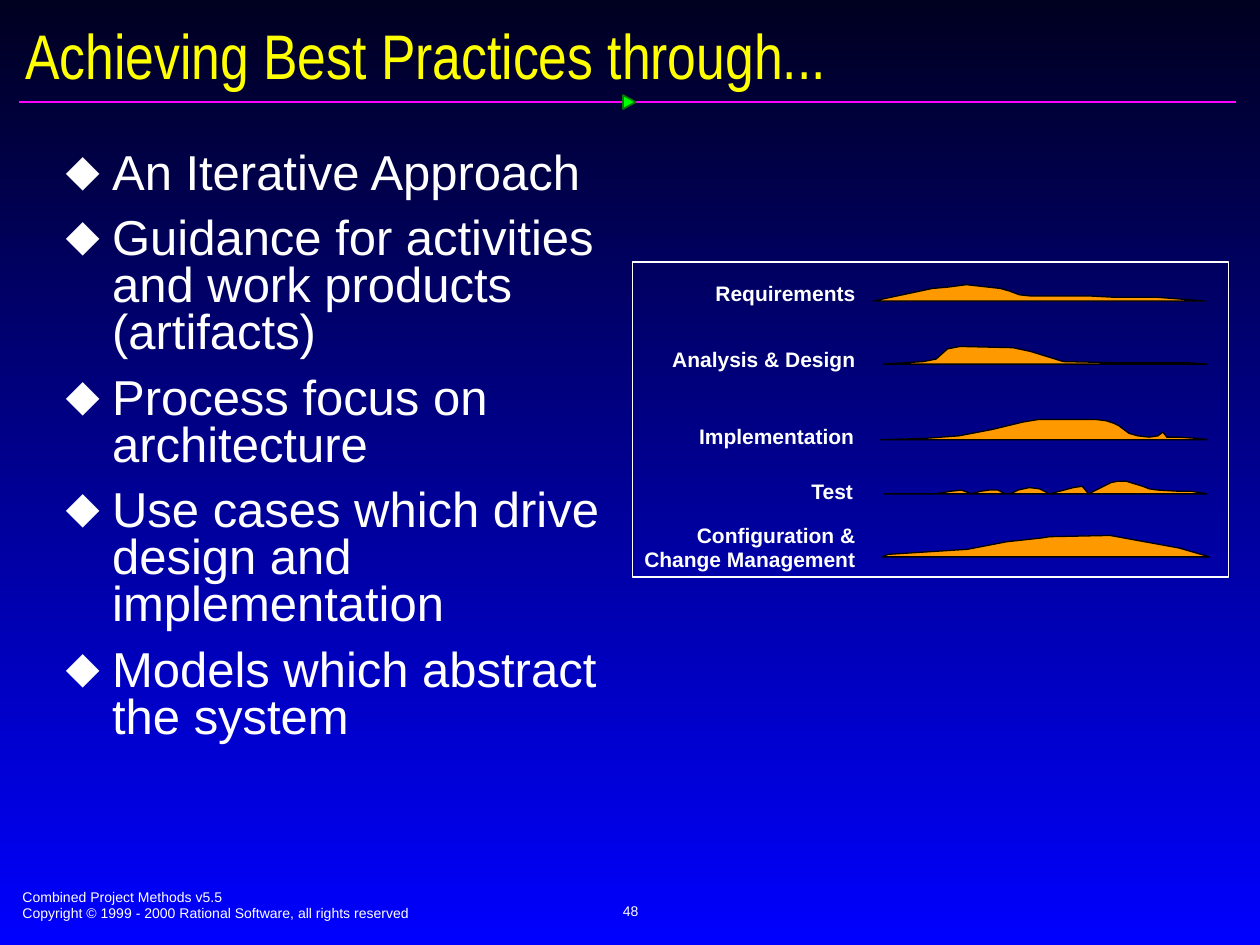
import pptx
import pptx.dml.color
import pptx.enum.shapes
import pptx.enum.text
import pptx.oxml.ns
import pptx.util
from lxml import etree
from pptx.util import Inches

COLORS = {
    "night": "000021", "blue": "0000FF", "white": "FFFFFF", "title": "FFFF00",
    "rule": "FF01FF", "marker": "00FF00", "marker_edge": "037C03",
    "effort": "FF9900", "black": "000000",
}
RGB = {name: pptx.dml.color.RGBColor.from_string(value) for name, value in COLORS.items()}
ALIGN = pptx.enum.text.PP_ALIGN
ANCHOR = pptx.enum.text.MSO_ANCHOR
SHAPE = pptx.enum.shapes.MSO_SHAPE


def place(shape, left, top, width, height):
    shape.left, shape.top = Inches(left), Inches(top)
    shape.width, shape.height = Inches(width), Inches(height)


def write(shape, lines, size, color="white", font="Arial", bold=False,
          align=ALIGN.LEFT, anchor=ANCHOR.TOP, margins=(0.1, 0.05), wrap=True):
    frame = shape.text_frame
    frame.text = "\n".join(lines)
    frame.auto_size = pptx.enum.text.MSO_AUTO_SIZE.NONE
    frame.word_wrap = wrap
    frame.vertical_anchor = anchor
    frame.margin_left = frame.margin_right = Inches(margins[0])
    frame.margin_top = frame.margin_bottom = Inches(margins[1])
    for paragraph in frame.paragraphs:
        paragraph.alignment = align
        for run in paragraph.runs:
            run.font.size = pptx.util.Pt(size)
            run.font.name = font
            run.font.bold = bold
            run.font.color.rgb = RGB[color]
    return frame.paragraphs


presentation = pptx.Presentation()
presentation.slide_width, presentation.slide_height = Inches(10), Inches(7.5)
slide = presentation.slides.add_slide(presentation.slide_layouts[1])
shapes = slide.shapes

# Background
background = slide.background.fill
background.gradient()
background.gradient_angle = 270
for stop, name in zip(background.gradient_stops, ("night", "blue")):
    stop.color.rgb = RGB[name]

# Title with its rule and marker
place(shapes.title, 0.1, 0.14, 9.84, 0.58)
write(shapes.title, ["Achieving Best Practices through..."], 36, "title",
      "Arial Narrow", anchor=ANCHOR.MIDDLE)

rule = shapes.add_connector(pptx.enum.shapes.MSO_CONNECTOR.STRAIGHT,
                            Inches(0.15), Inches(0.81), Inches(9.81), Inches(0.81))
rule.line.color.rgb = RGB["rule"]
rule.line.width = pptx.util.Pt(1)
etree.SubElement(rule._element.spPr, pptx.oxml.ns.qn("a:effectLst"))

marker = shapes.add_shape(SHAPE.ISOSCELES_TRIANGLE, Inches(4.94), Inches(0.76),
                          Inches(0.11), Inches(0.1))
marker.rotation = 90
marker.shadow.inherit = False
marker.fill.solid()
marker.fill.fore_color.rgb = RGB["marker"]
marker.line.color.rgb = RGB["marker_edge"]
marker.line.width = pptx.util.Pt(1)

# Bulleted list
body = slide.placeholders[1]
place(body, 0.4, 1.15, 4.56, 5.52)
practices = [
    "An Iterative Approach",
    "Guidance for activities and work products (artifacts)",
    "Process focus on architecture",
    "Use cases which drive design and implementation",
    "Models which abstract the system",
]
for index, paragraph in enumerate(write(body, practices, 28, margins=(0.12, 0.06))):
    properties = paragraph._p.get_or_add_pPr()
    properties.set("marL", str(Inches(0.37)))
    properties.set("indent", str(Inches(-0.37)))
    bullet_color = etree.SubElement(properties, pptx.oxml.ns.qn("a:buClr"))
    etree.SubElement(bullet_color, pptx.oxml.ns.qn("a:srgbClr"), val=COLORS["white"])
    etree.SubElement(properties, pptx.oxml.ns.qn("a:buChar"), char="⬥")
    paragraph.line_spacing = 0.8
    paragraph.space_before = pptx.util.Pt(10.5 if index else 0)

# Frame around the effort curves
frame = shapes.add_shape(SHAPE.RECTANGLE, Inches(5.02), Inches(2.08), Inches(4.73), Inches(2.5))
frame.shadow.inherit = False
frame.fill.background()
frame.line.color.rgb = RGB["white"]
frame.line.width = pptx.util.Pt(0.75)

# Discipline labels: lines, left, top, width, height
labels = [
    (["Requirements"], 5.25, 2.25, 1.54, 0.18),
    (["Analysis & Design"], 5.33, 2.77, 1.46, 0.18),
    (["Implementation"], 5.55, 3.38, 1.23, 0.18),
    (["Test"], 6.43, 3.82, 0.34, 0.18),
    (["Configuration &", "Change Management"], 5.11, 4.17, 1.68, 0.34),
]
for lines, *box in labels:
    label = shapes.add_textbox(*(Inches(length) for length in box))
    paragraphs = write(label, lines, 12, bold=True, align=ALIGN.RIGHT,
                       margins=(0, 0), wrap=False)
    paragraphs[0].line_spacing = 0.9
    for paragraph in paragraphs[1:]:
        paragraph.line_spacing = 0.3
        paragraph.space_before = pptx.util.Pt(7.5)

# Effort curves, one per discipline
curves = [
    # Requirements
    [(6.93, 2.39), (7.4, 2.29), (7.52, 2.28), (7.67, 2.26), (7.94, 2.29), (8.01, 2.31),
     (8.09, 2.34), (8.18, 2.35), (8.65, 2.35), (8.84, 2.36), (9.18, 2.36), (9.57, 2.39)],
    # Analysis & Design
    [(7.01, 2.89), (7.33, 2.87), (7.43, 2.85), (7.52, 2.77), (7.62, 2.75), (8.04, 2.76),
     (8.18, 2.79), (8.31, 2.83), (8.44, 2.87), (8.9, 2.88), (9.44, 2.88), (9.58, 2.89)],
    # Implementation
    [(6.99, 3.49), (7.34, 3.48), (7.61, 3.46), (7.87, 3.41), (8.12, 3.35), (8.24, 3.33),
     (8.7, 3.33), (8.78, 3.34), (8.84, 3.36), (8.88, 3.38), (8.96, 3.44), (9.03, 3.46),
     (9.12, 3.47), (9.19, 3.46), (9.23, 3.43), (9.26, 3.47), (9.35, 3.47), (9.5, 3.48),
     (9.58, 3.49)],
    # Test
    [(7.02, 3.92), (7.43, 3.92), (7.54, 3.9), (7.63, 3.89), (7.71, 3.92), (7.78, 3.9),
     (7.85, 3.89), (7.92, 3.89), (7.98, 3.92), (8.02, 3.92), (8.08, 3.89), (8.17, 3.87),
     (8.25, 3.88), (8.33, 3.92), (8.52, 3.87), (8.59, 3.86), (8.64, 3.92), (8.76, 3.86),
     (8.82, 3.83), (8.87, 3.82), (8.94, 3.82), (9.07, 3.86), (9.12, 3.88), (9.19, 3.89),
     (9.37, 3.9), (9.46, 3.9), (9.58, 3.92)],
    # Configuration & Change Management
    [(7, 4.42), (7.05, 4.4), (7.68, 4.36), (7.99, 4.3), (8.27, 4.27), (8.33, 4.26),
     (8.81, 4.25), (9.36, 4.35), (9.6, 4.42)],
]
for curve in curves:
    points = [(Inches(x), Inches(y)) for x, y in curve]
    builder = shapes.build_freeform(*points[0])
    builder.add_line_segments(points[1:], close=True)
    effort = builder.convert_to_shape()
    effort.shadow.inherit = False
    effort.fill.solid()
    effort.fill.fore_color.rgb = RGB["effort"]
    effort.line.color.rgb = RGB["black"]
    effort.line.width = pptx.util.Pt(0)

# Footer and slide number
footer = shapes.add_textbox(Inches(0.08), Inches(7), Inches(5.1), Inches(0.37))
write(footer, ["Combined Project Methods v5.5",
               "Copyright © 1999 - 2000 Rational Software, all rights reserved"], 8)
number = shapes.add_textbox(Inches(3.42), Inches(6.98), Inches(3.17), Inches(0.5))
write(number, ["48"], 8, align=ALIGN.CENTER, anchor=ANCHOR.MIDDLE, wrap=False)

presentation.save("out.pptx")
